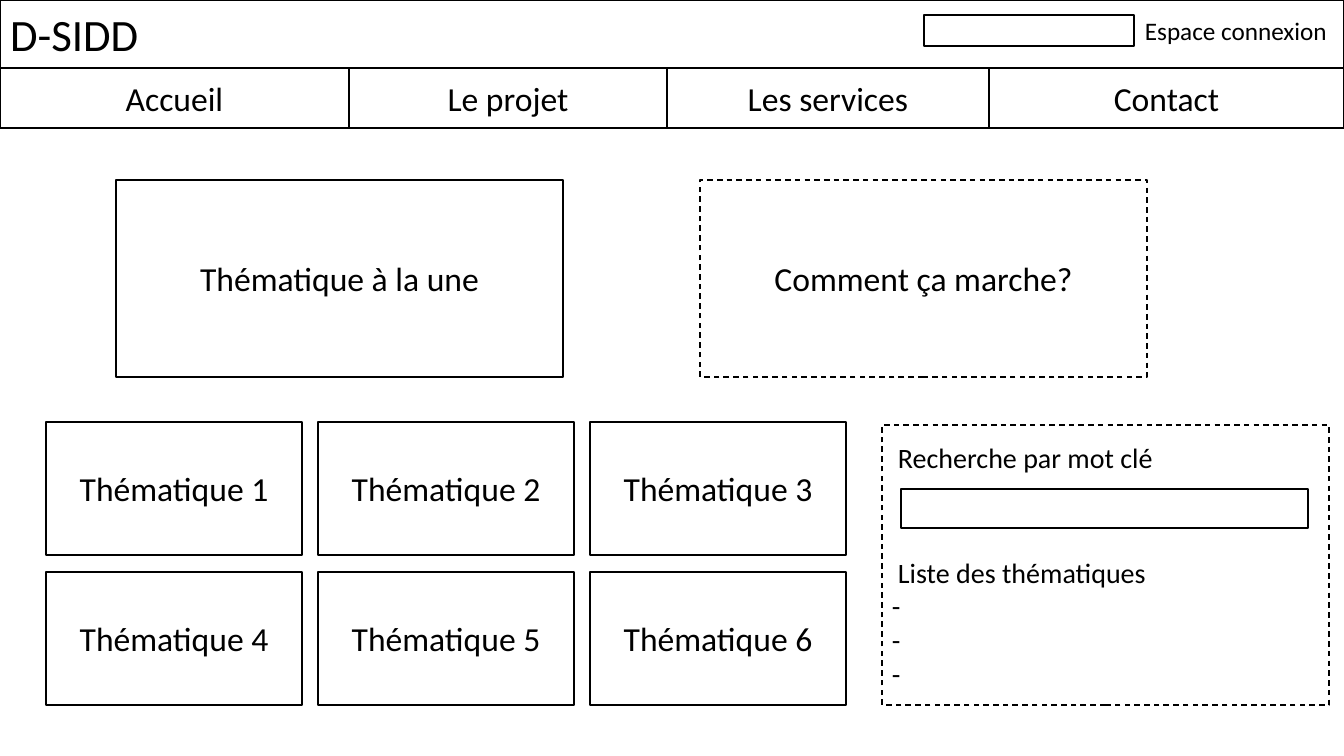
import pptx
import pptx.util
import pptx.dml.color
import pptx.enum.dml
import pptx.enum.shapes
import pptx.enum.text

BLACK = pptx.dml.color.RGBColor(0, 0, 0)
WHITE = pptx.dml.color.RGBColor(255, 255, 255)
FONT = "Calibri"
EMU_PER_PX = 914400 / 100.8
LEFT = pptx.enum.text.PP_ALIGN.LEFT
CENTER = pptx.enum.text.PP_ALIGN.CENTER

SLIDE_SIZE = (1344, 756)
SITE_NAME = "D-SIDD"
HEADER_BOX = (0, 0, 1344, 68)
LOGIN_FIELD = (924, 15, 210, 31)
LOGIN_LABEL = ("Espace connexion", (1135, 15, 209, 31))

MENU = ["Accueil", "Le projet", "Les services", "Contact"]
MENU_EDGES = [0, 349, 667, 989, 1344]
MENU_TOP, MENU_HEIGHT = 68, 60

FEATURES = [
    ("Thématique à la une", 116, False),
    ("Comment ça marche?", 700, True),
]
FEATURE_TOP, FEATURE_WIDTH, FEATURE_HEIGHT = 180, 447, 197

THEME_COUNT, THEME_COLUMNS = 6, 3
THEME_LEFT, THEME_TOP = 46, 422
THEME_WIDTH, THEME_HEIGHT = 256, 133
THEME_STEP_X, THEME_STEP_Y = 272, 150

SEARCH_PANEL = (882, 425, 447, 280)
SEARCH_FIELD = (901, 489, 407, 39)
HEADING_INDENT = 6
PANEL_LINES = [
    ("Recherche par mot clé", HEADING_INDENT, 0),
    ("Liste des thématiques", HEADING_INDENT, 58),
    ("-", 0, 0),
    ("-", 0, 0),
    ("-", 0, 0),
]


def px(length):
    return pptx.util.Emu(round(length * EMU_PER_PX))


def place(shape, box):
    shape.left, shape.top, shape.width, shape.height = map(px, box)


def outline(shape, dashed=False):
    shape.line.color.rgb = BLACK
    shape.line.width = pptx.util.Pt(1)
    if dashed:
        shape.line.dash_style = pptx.enum.dml.MSO_LINE.DASH


def prepare_text(shape):
    frame = shape.text_frame
    frame.word_wrap = True
    frame.auto_size = pptx.enum.text.MSO_AUTO_SIZE.NONE
    frame.vertical_anchor = pptx.enum.text.MSO_ANCHOR.MIDDLE
    return frame


def write(paragraph, text, size, align):
    paragraph.alignment = align
    run = paragraph.add_run()
    run.text = text
    run.font.name = FONT
    run.font.size = pptx.util.Pt(size)
    run.font.color.rgb = BLACK


def add_box(slide, box, text="", dashed=False):
    shape = slide.shapes.add_shape(
        pptx.enum.shapes.MSO_SHAPE.RECTANGLE, *map(px, box))
    shape.shadow.inherit = False
    shape.fill.background()
    outline(shape, dashed)
    frame = prepare_text(shape)
    if text:
        write(frame.paragraphs[0], text, 24, CENTER)
    return shape


def add_header(slide):
    title = slide.shapes.title
    place(title, HEADER_BOX)
    outline(title)
    write(prepare_text(title).paragraphs[0], SITE_NAME, 32, LEFT)
    add_box(slide, LOGIN_FIELD)
    text, box = LOGIN_LABEL
    label = slide.shapes.add_textbox(*map(px, box))
    write(prepare_text(label).paragraphs[0], text, 18, LEFT)
    for name, left, right in zip(MENU, MENU_EDGES, MENU_EDGES[1:]):
        add_box(slide, (left, MENU_TOP, right - left, MENU_HEIGHT), name)


def add_themes(slide):
    for text, left, dashed in FEATURES:
        box = (left, FEATURE_TOP, FEATURE_WIDTH, FEATURE_HEIGHT)
        add_box(slide, box, text, dashed)
    for index in range(THEME_COUNT):
        row, column = divmod(index, THEME_COLUMNS)
        box = (THEME_LEFT + column * THEME_STEP_X,
               THEME_TOP + row * THEME_STEP_Y,
               THEME_WIDTH, THEME_HEIGHT)
        add_box(slide, box, f"Thématique {index + 1}")


def add_search(slide):
    frame = add_box(slide, SEARCH_PANEL, dashed=True).text_frame
    for index, (text, indent, space) in enumerate(PANEL_LINES):
        paragraph = frame.add_paragraph() if index else frame.paragraphs[0]
        write(paragraph, text, 20, LEFT)
        paragraph.space_before = pptx.util.Pt(space)
        if indent:
            paragraph._p.get_or_add_pPr().set("marL", str(px(indent)))
    add_box(slide, SEARCH_FIELD)


def main():
    presentation = pptx.Presentation()
    presentation.slide_width, presentation.slide_height = map(px, SLIDE_SIZE)
    slide = presentation.slides.add_slide(presentation.slide_layouts[5])
    slide.background.fill.solid()
    slide.background.fill.fore_color.rgb = WHITE
    add_header(slide)
    add_themes(slide)
    add_search(slide)
    presentation.save("out.pptx")


if __name__ == "__main__":
    main()
